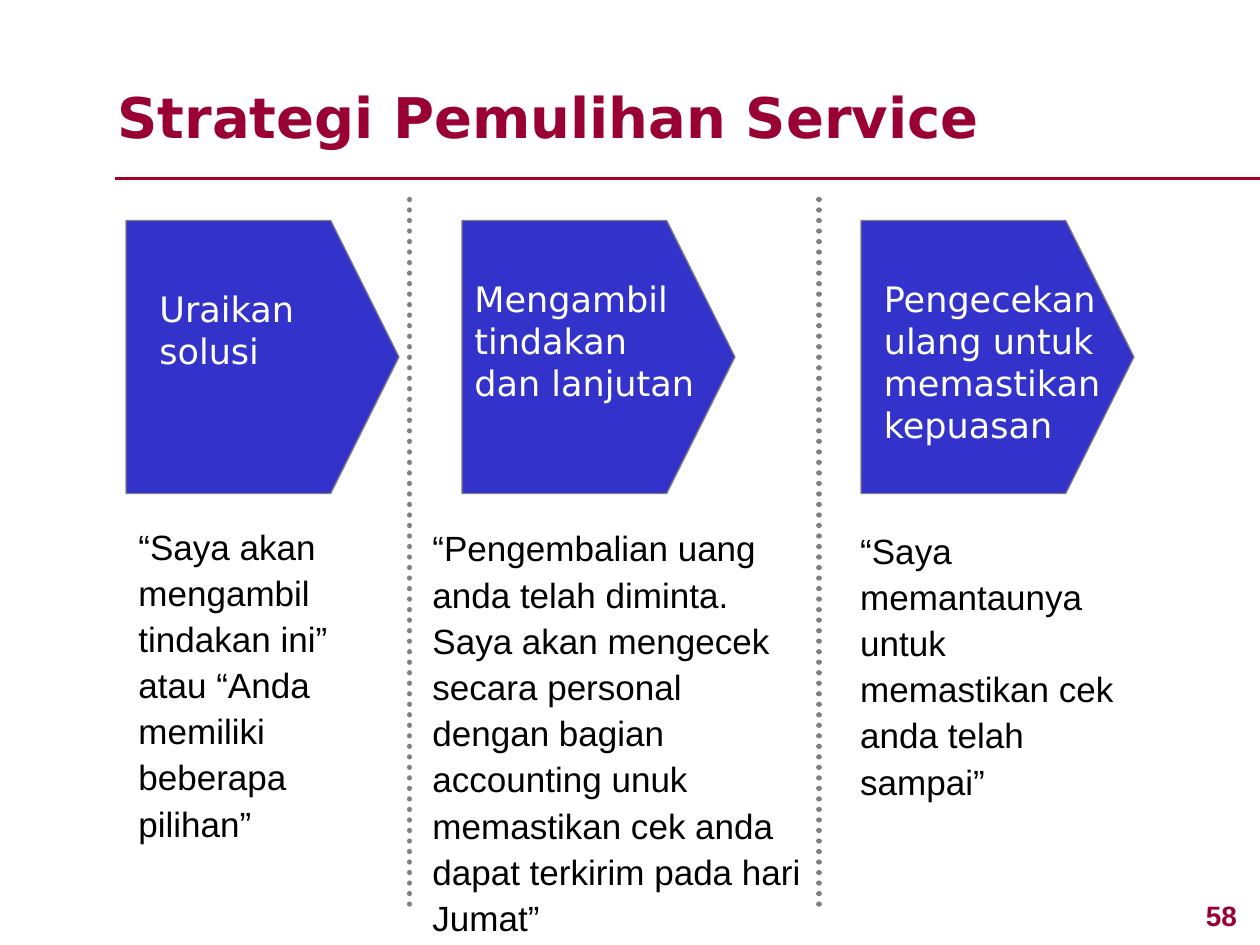
import pptx
import pptx.util
import pptx.dml.color
import pptx.enum.dml
import pptx.enum.shapes
import pptx.enum.text
import pptx.oxml.ns
import lxml.etree

Pt = pptx.util.Pt
PP_ALIGN = pptx.enum.text.PP_ALIGN
ANCHOR = pptx.enum.text.MSO_ANCHOR


def rgb(color):
    return pptx.dml.color.RGBColor.from_string(color)


def add_text(text, x, y, w, h, size=20, font="Arial", color="000000", bold=False,
             spacing=1.0, align=PP_ALIGN.LEFT, anchor=ANCHOR.TOP):
    tf = s.shapes.add_textbox(Pt(x), Pt(y), Pt(w), Pt(h)).text_frame
    tf.word_wrap = True
    tf.vertical_anchor = anchor
    p = tf.paragraphs[0]
    p.alignment = align
    p.line_spacing = spacing
    r = p.add_run()
    r.text = text
    r.font.size = Pt(size)
    r.font.name = font
    r.font.bold = bold
    r.font.color.rgb = rgb(color)


prs = pptx.Presentation()
prs.slide_width, prs.slide_height = Pt(720), Pt(540)
s = prs.slides.add_slide(prs.slide_layouts[6])

# Page number and title
add_text("58", 676, 510, 44, 26.5, size=16, color="990033", bold=True, align=PP_ALIGN.CENTER)
add_text("Strategi Pemulihan Service", 60, 36, 600, 53.5, size=32, font="DejaVu Sans",
         color="990033", bold=True, spacing=1.2)

# Title rule and dotted column dividers
lines = [
    (66, 102, 720, 102, "A50021", 2.25, False),
    (234, 114, 234, 522, "808080", 3, True),
    (468, 114, 468, 522, "808080", 3, True),
]
for x1, y1, x2, y2, color, width, dotted in lines:
    c = s.shapes.add_connector(pptx.enum.shapes.MSO_CONNECTOR.STRAIGHT,
                               Pt(x1), Pt(y1), Pt(x2), Pt(y2))
    c.line.color.rgb = rgb(color)
    c.line.width = Pt(width)
    if dotted:
        c.line.dash_style = pptx.enum.dml.MSO_LINE.ROUND_DOT
        c.line._get_or_add_ln().set("cap", "rnd")
    lxml.etree.SubElement(c._element.spPr, pptx.oxml.ns.qn("a:effectLst"))

# Columns: arrow left, label text and box, quote text, box and anchor
columns = [
    (72, "Uraikan solusi", (84, 160.5, 126, 55.5),
     "“Saya akan mengambil tindakan ini” atau “Anda memiliki beberapa pilihan”",
     (72, 294, 162, 192), ANCHOR.MIDDLE),
    (264, "Mengambil tindakan dan lanjutan", (264, 155, 144, 79),
     "“Pengembalian uang anda telah diminta. Saya akan mengecek secara personal dengan "
     "bagian accounting unuk memastikan cek anda dapat terkirim pada hari Jumat”",
     (240, 295, 228, 245), ANCHOR.MIDDLE),
    (492, "Pengecekan ulang untuk memastikan kepuasan", (498, 155, 138, 104),
     "“Saya memantaunya untuk memastikan cek anda telah sampai”",
     (484.5, 296.5, 169, 166), ANCHOR.TOP),
]
for left, label, label_box, quote, quote_box, anchor in columns:
    sp = s.shapes.add_shape(pptx.enum.shapes.MSO_SHAPE.PENTAGON,
                            Pt(left), Pt(126), Pt(156), Pt(156))
    sp.adjustments[0] = 0.25
    sp.shadow.inherit = False
    sp.fill.solid()
    sp.fill.fore_color.rgb = rgb("3333CC")
    sp.line.color.rgb = rgb("808080")
    sp.line.width = Pt(0.75)
    add_text(label, *label_box, font="DejaVu Sans", color="FFFFFF")
    add_text(quote, *quote_box, spacing=1.1, anchor=anchor)

prs.save("out.pptx")
